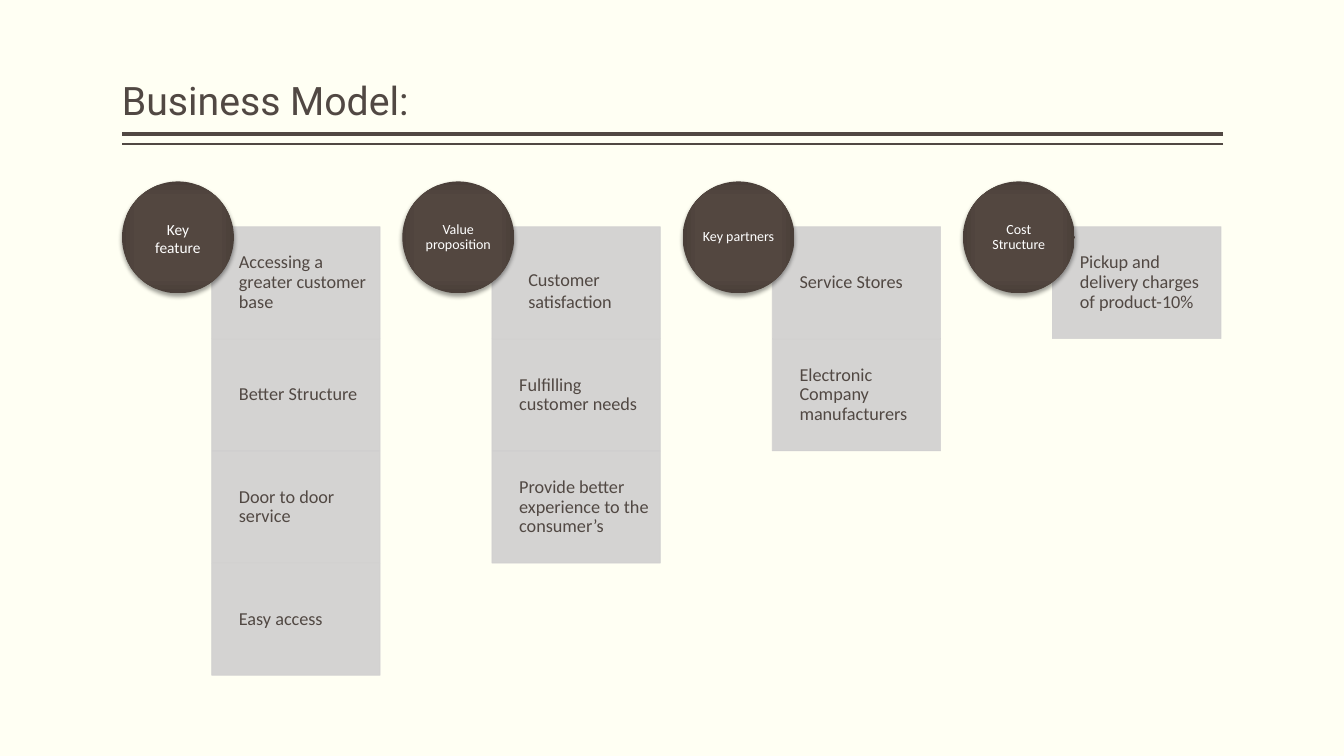
from dataclasses import dataclass

from lxml import etree
from pptx import Presentation
from pptx.dml.color import RGBColor
from pptx.enum.shapes import MSO_CONNECTOR, MSO_SHAPE
from pptx.enum.text import MSO_ANCHOR, PP_ALIGN
from pptx.oxml import parse_xml
from pptx.oxml.ns import nsdecls, qn
from pptx.util import Inches, Pt

LEFT, CENTER = PP_ALIGN.LEFT, PP_ALIGN.CENTER
MIDDLE, BOTTOM = MSO_ANCHOR.MIDDLE, MSO_ANCHOR.BOTTOM
RECTANGLE, OVAL = MSO_SHAPE.RECTANGLE, MSO_SHAPE.OVAL
STRAIGHT = MSO_CONNECTOR.STRAIGHT

TITLE = "Business Model:"
COLUMNS = [
    ("Key feature", ["Accessing a greater customer base", "Better Structure",
                     "Door to door service", "Easy access"]),
    ("Value proposition", ["Customer satisfaction", "Fulfilling customer needs",
                           "Provide better experience to the consumer’s"]),
    ("Key partners", ["Service Stores", "Electronic Company manufacturers"]),
    ("Cost Structure", ["Pickup and delivery charges of product-10%"]),
]
SPECIAL_FORMATS = {
    "Key feature": {"size": 11, "insets": (0.08, 0.02, 0.08, 0), "spacing": 1.0},
    "Customer satisfaction": {"insets": (0.36, 0.24, 0.1, 0.1), "spacing": 1.0},
}


@dataclass(frozen=True)
class Theme:
    """Colours, fonts and type sizes."""
    background: str = "FFFFF3"
    ink: str = "514843"
    card: str = "D0CFCF"
    white: str = "FFFFFF"
    circle_stops: tuple = ((0, "544740"), (71, "534740"), (100, "4A3F39"))
    title_font: str = "Roboto"
    body_font: str = "Calibri"
    title_size: int = 28
    card_size: int = 13
    circle_size: int = 10


THEME = Theme()
MARGIN, CONTENT_WIDTH = 1.21, 10.92
RULES = [(1.33, 3), (1.43, 1)]
COLUMN_STEP = 2.78
CIRCLE_TOP, DIAMETER = 1.8, 1.11
CARD_OFFSET, CARD_TOP, CARD_WIDTH, CARD_HEIGHT = 0.89, 2.25, 1.67, 1.11
CARD_STEP = 1.113


def write_text(shape, text, *, size, color, font=THEME.body_font, align=LEFT,
               anchor=MIDDLE, insets=(0, 0, 0, 0), spacing=0.9):
    """Write one formatted paragraph into a shape."""
    frame = shape.text_frame
    frame.word_wrap = True
    frame.vertical_anchor = anchor
    (frame.margin_left, frame.margin_top,
     frame.margin_right, frame.margin_bottom) = map(Inches, insets)
    para = frame.paragraphs[0]
    para.alignment, para.line_spacing = align, spacing
    span = para.add_run()
    span.text = text
    span.font.name, span.font.size = font, Pt(size)
    span.font.color.rgb = RGBColor.from_string(color)


def set_alpha(fill, percent):
    """Make every solid colour under an element partly transparent."""
    for color in fill.iter(qn("a:srgbClr")):
        etree.SubElement(color, qn("a:alpha"), val=str(percent * 1000))


def add_rule(page, top, weight):
    """Draw one horizontal line below the title."""
    rule = page.shapes.add_connector(STRAIGHT, Inches(MARGIN + CONTENT_WIDTH), Inches(top),
                                     Inches(MARGIN), Inches(top))
    rule.line.color.rgb = RGBColor.from_string(THEME.ink)
    rule.line.width = Pt(weight)
    etree.SubElement(rule._element.spPr, qn("a:effectLst"))


def add_card(page, left, top, text):
    """Add one grey card with its text."""
    card = page.shapes.add_shape(RECTANGLE, Inches(left), Inches(top),
                                 Inches(CARD_WIDTH), Inches(CARD_HEIGHT))
    card.shadow.inherit = False
    card.fill.solid()
    card.fill.fore_color.rgb = RGBColor.from_string(THEME.card)
    card.line.color.rgb = RGBColor.from_string(THEME.card)
    card.line.width = Pt(0.5)
    set_alpha(card._element.spPr, 90)
    style = {"size": THEME.card_size, "color": THEME.ink, "insets": (0.27, 0.1, 0.1, 0.1)}
    write_text(card, text, **(style | SPECIAL_FORMATS.get(text, {})))


def add_circle(page, left, text):
    """Add one shaded heading circle with its text."""
    circle = page.shapes.add_shape(OVAL, Inches(left), Inches(CIRCLE_TOP),
                                   Inches(DIAMETER), Inches(DIAMETER))
    circle.line.fill.background()
    circle.fill.background()
    circle.shadow.inherit = False
    properties = circle._element.spPr
    stops = "".join(f'<a:gs pos="{place * 1000}"><a:srgbClr val="{color}"/></a:gs>'
                    for place, color in THEME.circle_stops)
    properties.replace(properties.find(qn("a:noFill")), parse_xml(
        f'<a:gradFill {nsdecls("a")} rotWithShape="1"><a:gsLst>{stops}</a:gsLst>'
        '<a:path path="rect"><a:fillToRect l="50000" t="50000" r="50000" b="50000"/>'
        '</a:path></a:gradFill>'))
    properties.find(qn("a:effectLst")).append(parse_xml(
        f'<a:outerShdw {nsdecls("a")} blurRad="{Pt(3.1)}" dist="{Pt(2)}" dir="5400000" '
        'rotWithShape="0"><a:srgbClr val="000000"><a:alpha val="38000"/></a:srgbClr>'
        '</a:outerShdw>'))
    style = {"size": THEME.circle_size, "color": THEME.white, "align": CENTER}
    write_text(circle, text, **(style | SPECIAL_FORMATS.get(text, {})))


def main():
    """Build the business model slide."""
    deck = Presentation()
    deck.slide_width, deck.slide_height = Inches(13.33), Inches(7.5)
    page = deck.slides.add_slide(deck.slide_layouts[5])
    page.background.fill.solid()
    page.background.fill.fore_color.rgb = RGBColor.from_string(THEME.background)

    title = page.shapes.title
    title.left, title.top = Inches(MARGIN), Inches(0.08)
    title.width, title.height = Inches(CONTENT_WIDTH), Inches(1.2)
    write_text(title, TITLE, size=THEME.title_size, color=THEME.ink, font=THEME.title_font,
               anchor=BOTTOM, insets=(0, 0.05, 0, 0.05))
    for top, weight in RULES:
        add_rule(page, top, weight)

    for column, (heading, cards) in enumerate(COLUMNS):
        left = MARGIN + column * COLUMN_STEP
        for row, text in enumerate(cards):
            add_card(page, left + CARD_OFFSET, CARD_TOP + row * CARD_STEP, text)
        add_circle(page, left, heading)
    deck.save("out.pptx")


if __name__ == "__main__":
    main()
